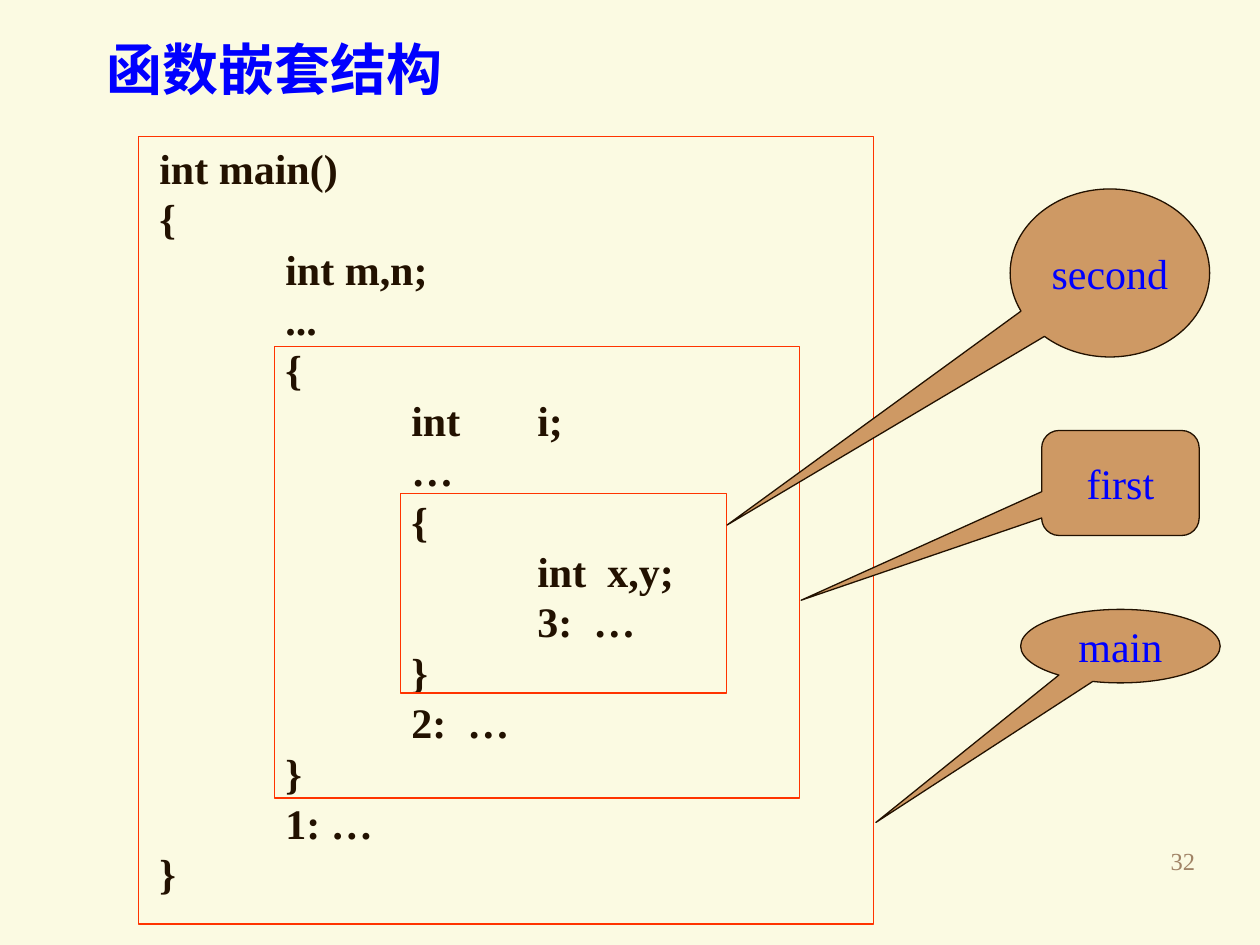
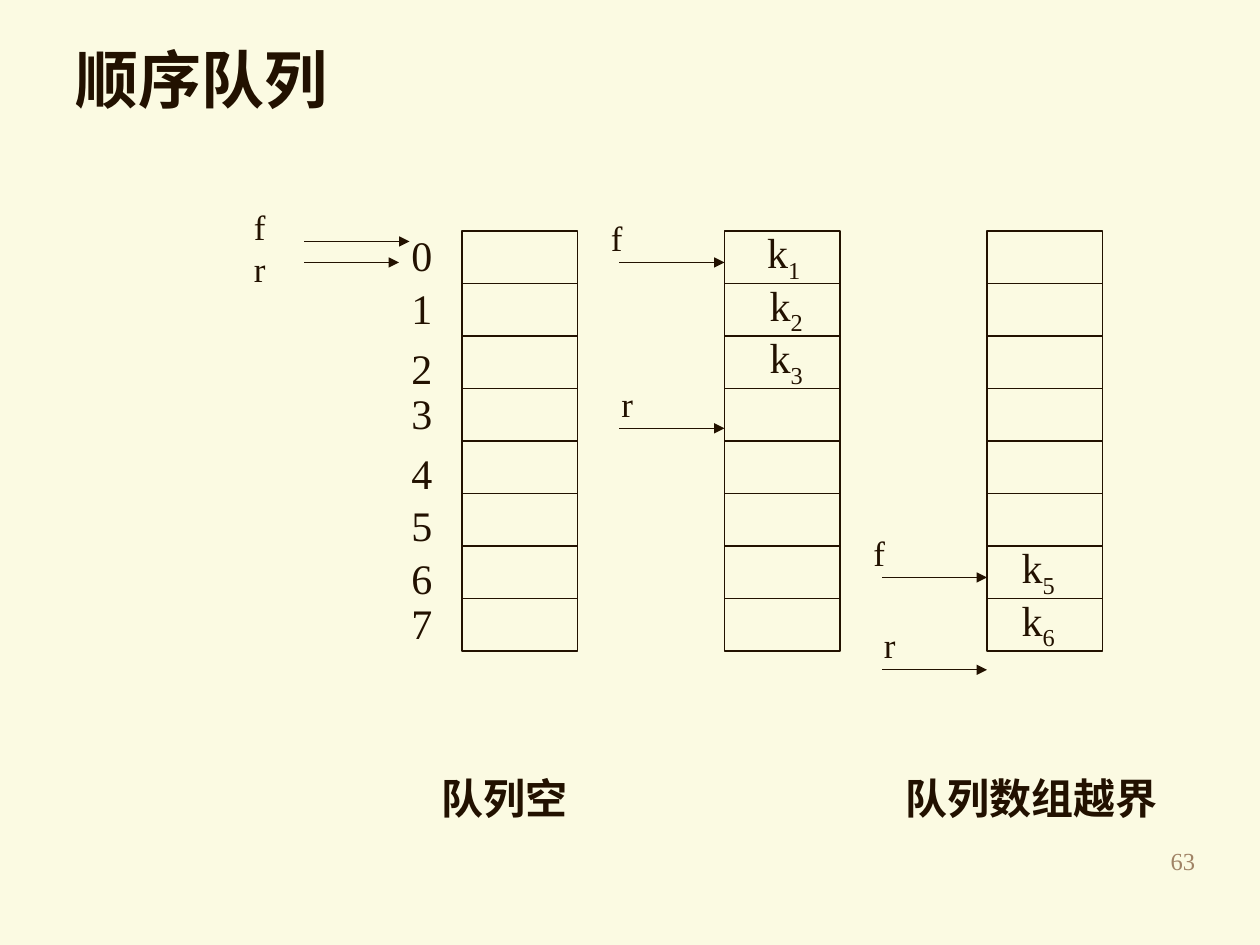
from pptx import Presentation
from pptx.dml.color import RGBColor
from pptx.enum.shapes import MSO_CONNECTOR, MSO_SHAPE
from pptx.enum.text import MSO_ANCHOR, MSO_AUTO_SIZE, PP_ALIGN
from pptx.oxml.ns import qn
from pptx.util import Pt
from lxml import etree

CREAM = RGBColor(0xFB, 0xFA, 0xE2)
INK = RGBColor(0x22, 0x11, 0x00)
BLUE = RGBColor(0x00, 0x00, 0xFF)
RED = RGBColor(0xFF, 0x33, 0x00)
TAN = RGBColor(0xCE, 0x99, 0x64)
BROWN = RGBColor(0xA0, 0x83, 0x66)

RECTANGLE = MSO_SHAPE.RECTANGLE
OVAL_CALLOUT = MSO_SHAPE.OVAL_CALLOUT
ROUNDED_CALLOUT = MSO_SHAPE.ROUNDED_RECTANGULAR_CALLOUT
STRAIGHT = MSO_CONNECTOR.STRAIGHT
LEFT, CENTER, RIGHT = PP_ALIGN.LEFT, PP_ALIGN.CENTER, PP_ALIGN.RIGHT
MIDDLE = MSO_ANCHOR.MIDDLE
NO_AUTOFIT = MSO_AUTO_SIZE.NONE

FONT = "Times New Roman"
LINE_WIDTH = Pt(0.75)
TITLE_ONLY = 5
TAB_STOPS, TAB_WIDTH = 7, 72
ROWS, ROW_HEIGHT, COLUMN_WIDTH = 8, 30, 66
RAISED_INDEXES = (0, 1, 3, 7)

CODE = """int main()
{
\tint m,n;
\t...
\t{
\t\tint \ti;
\t\t…
\t\t{
\t\t\tint  x,y;
\t\t\t3:  …
\t\t}
\t\t2:  …
\t}
\t1: …
}"""


def points(*lengths):
    """Convert numbers to point lengths."""
    return [Pt(length) for length in lengths]


def add_tab_stops(paragraph):
    """Give a paragraph evenly spaced left tab stops."""
    tab_list = etree.SubElement(paragraph._p.get_or_add_pPr(), qn("a:tabLst"))
    for stop in range(1, TAB_STOPS + 1):
        etree.SubElement(tab_list, qn("a:tab"), pos=str(Pt(stop * TAB_WIDTH)), algn="l")


def style_text(frame, size, color=INK, bold=False, alignment=LEFT, tabs=False):
    """Give every paragraph of a frame the same font, alignment and tabs."""
    for paragraph in frame.paragraphs:
        paragraph.alignment = alignment
        if tabs:
            add_tab_stops(paragraph)
        font = paragraph.font
        font.name, font.size, font.bold = FONT, Pt(size), bold
        font.color.rgb = color


def add_text(slide, box, text, size=24, wrap=False, **style):
    """Add a text box and return its first paragraph."""
    frame = slide.shapes.add_textbox(*points(*box)).text_frame
    frame.word_wrap = wrap
    frame.text = text
    style_text(frame, size, **style)
    return frame.paragraphs[0]


def add_outlined(slide, kind, box, color, fill=None):
    """Add a thin-lined preset shape, hollow unless a fill is given."""
    shape = slide.shapes.add_shape(kind, *points(*box))
    shape.shadow.inherit = False
    shape.line.color.rgb = color
    shape.line.width = LINE_WIDTH
    if fill is None:
        shape.fill.background()
    else:
        shape.fill.solid()
        shape.fill.fore_color.rgb = fill
    return shape


def add_line(slide, start, end, arrow=False):
    """Add a thin straight line, with an arrowhead at its end on request."""
    line = slide.shapes.add_connector(STRAIGHT, *points(*start, *end))
    line.line.color.rgb = INK
    line.line.width = LINE_WIDTH
    properties = line._element.spPr
    if arrow:
        etree.SubElement(properties.find(qn("a:ln")), qn("a:tailEnd"), type="triangle")
    etree.SubElement(properties, qn("a:effectLst"))
    return line


def add_titled_slide(presentation, title, left, top, size, color, number):
    """Add a slide with its title and page number."""
    slide = presentation.slides.add_slide(presentation.slide_layouts[TITLE_ONLY])
    shape = slide.shapes.title
    shape.left, shape.top, shape.width, shape.height = points(left, top, 612, 42)
    frame = shape.text_frame
    frame.text = title
    frame.auto_size = NO_AUTOFIT
    frame.vertical_anchor = MIDDLE
    style_text(frame, size, color, bold=True)
    add_text(slide, (540, 480, 150, 36), str(number), 14, wrap=True,
             color=BROWN, alignment=RIGHT)
    return slide


def add_nested_code(slide, left, top):
    """Place the program text and the frames of its three nested blocks."""
    add_text(slide, (left + 5, top - 0.25, 582, 439), CODE, wrap=True, bold=True, tabs=True)
    for x, y, width, height in ((150, 204, 186, 114), (78, 120, 300, 258),
                                (0, 0, 420, 450)):
        add_outlined(slide, RECTANGLE, (left + x, top + y, width, height), RED)


def add_callout(slide, kind, box, name, tip):
    """Place a named callout whose pointer ends at the tip."""
    left, top, width, height = box
    shape = add_outlined(slide, kind, box, INK, TAN)
    shape.adjustments[0] = (tip[0] - left - width / 2) / width
    shape.adjustments[1] = (tip[1] - top - height / 2) / height
    frame = shape.text_frame
    frame.word_wrap = False
    frame.vertical_anchor = MIDDLE
    frame.text = name
    style_text(frame, 24, BLUE, alignment=CENTER)


def add_queue(slide, left, top):
    """Place an empty queue column with its row dividers."""
    column = add_outlined(slide, RECTANGLE, (left, top, COLUMN_WIDTH, ROWS * ROW_HEIGHT), INK)
    for row in range(1, ROWS):
        y = top + row * ROW_HEIGHT
        divider = add_line(slide, (left, y), (left + COLUMN_WIDTH, y))
        if row * 2 == ROWS:
            divider.begin_connect(column, 1)
            divider.end_connect(column, 3)


def add_indexes(slide, left, top):
    """Place the row numbers beside a queue column."""
    for row in range(ROWS):
        lift = 4.25 if row in RAISED_INDEXES else 0
        add_text(slide, (left, top + row * ROW_HEIGHT - lift, 26, 36), str(row))


def add_item(slide, left, top, row, subscript):
    """Place a queue element, k with a subscript, in a row."""
    paragraph = add_text(slide, (left, top + row * ROW_HEIGHT - 6, 40, 40), "k")
    run = paragraph.add_run()
    run.text = subscript
    run._r.get_or_add_rPr().set("baseline", "-25000")


def add_pointer(slide, queue_left, y, name, indent):
    """Place a named arrow that ends at the left side of a queue column."""
    add_text(slide, (queue_left - indent, y - 30, 21, 32), name, 20)
    add_line(slide, (queue_left - 60, y), (queue_left, y), arrow=True)


def build_nesting_slide(presentation):
    """Build the slide on nested function blocks."""
    slide = add_titled_slide(presentation, "函数嵌套结构", 53.75, 18, 32, BLUE, 32)
    add_nested_code(slide, 79, 78)
    for kind, box, name, tip in (
        (ROUNDED_CALLOUT, (595.25, 246, 90, 60), "first", (457.75, 343)),
        (OVAL_CALLOUT, (583.25, 348.25, 114, 42), "main", (500.5, 470)),
        (OVAL_CALLOUT, (577.25, 108, 114, 96), "second", (415.5, 300)),
    ):
        add_callout(slide, kind, box, name, tip)


def build_queue_slide(presentation):
    """Build the slide on the states of a sequential queue."""
    slide = add_titled_slide(presentation, "顺序队列", 36, 24, 36, INK, 63)
    top = 132
    empty, partial, overflow = (264 + 150 * state for state in range(3))
    for left in (empty, partial, overflow):
        add_queue(slide, left, top)
    add_indexes(slide, empty - 36, top)

    add_text(slide, (138, 114, 21, 55), "f\nr", 20)
    for y, end in ((138, 234), (150, 228)):
        add_line(slide, (174, y), (end, y), arrow=True)

    for left, row, subscript in ((partial + 17.25, 0, "1"), (partial + 18.75, 1, "2"),
                                 (partial + 18.75, 2, "3"), (overflow + 12.75, 6, "5"),
                                 (overflow + 12.75, 7, "6")):
        add_item(slide, left, top, row, subscript)
    for left, y, name, indent in ((partial, 150, "f", 72), (partial, 244.75, "r", 66),
                                  (overflow, 330, "f", 72), (overflow, 382.75, "r", 66)):
        add_pointer(slide, left, y, name, indent)

    for left, width, caption in ((245.25, 86.5, "队列空"), (510.5, 158.5, "队列数组越界")):
        add_text(slide, (left, 438, width, 36), caption, bold=True)


def main():
    """Build and save the presentation."""
    presentation = Presentation()
    presentation.slide_width, presentation.slide_height = points(720, 540)
    background = presentation.slide_master.background.fill
    background.solid()
    background.fore_color.rgb = CREAM
    build_nesting_slide(presentation)
    build_queue_slide(presentation)
    presentation.save("out.pptx")


if __name__ == "__main__":
    main()
